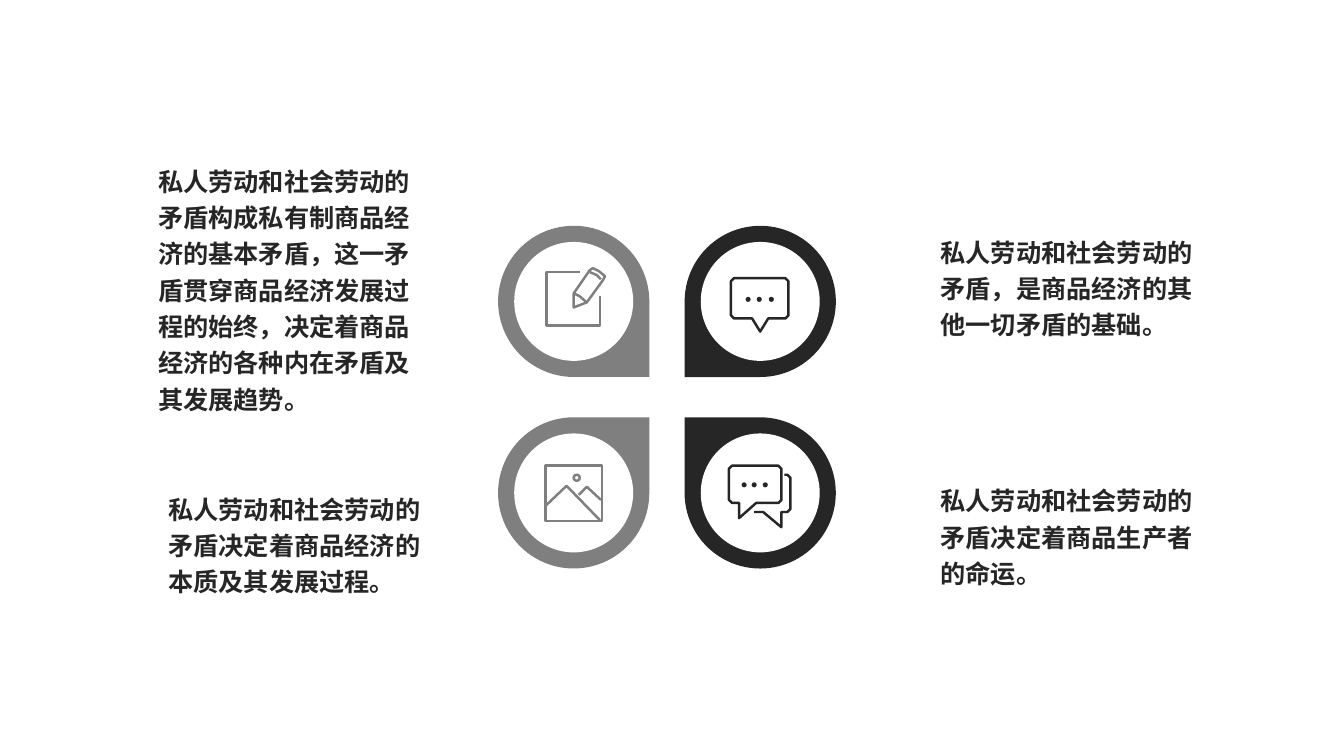
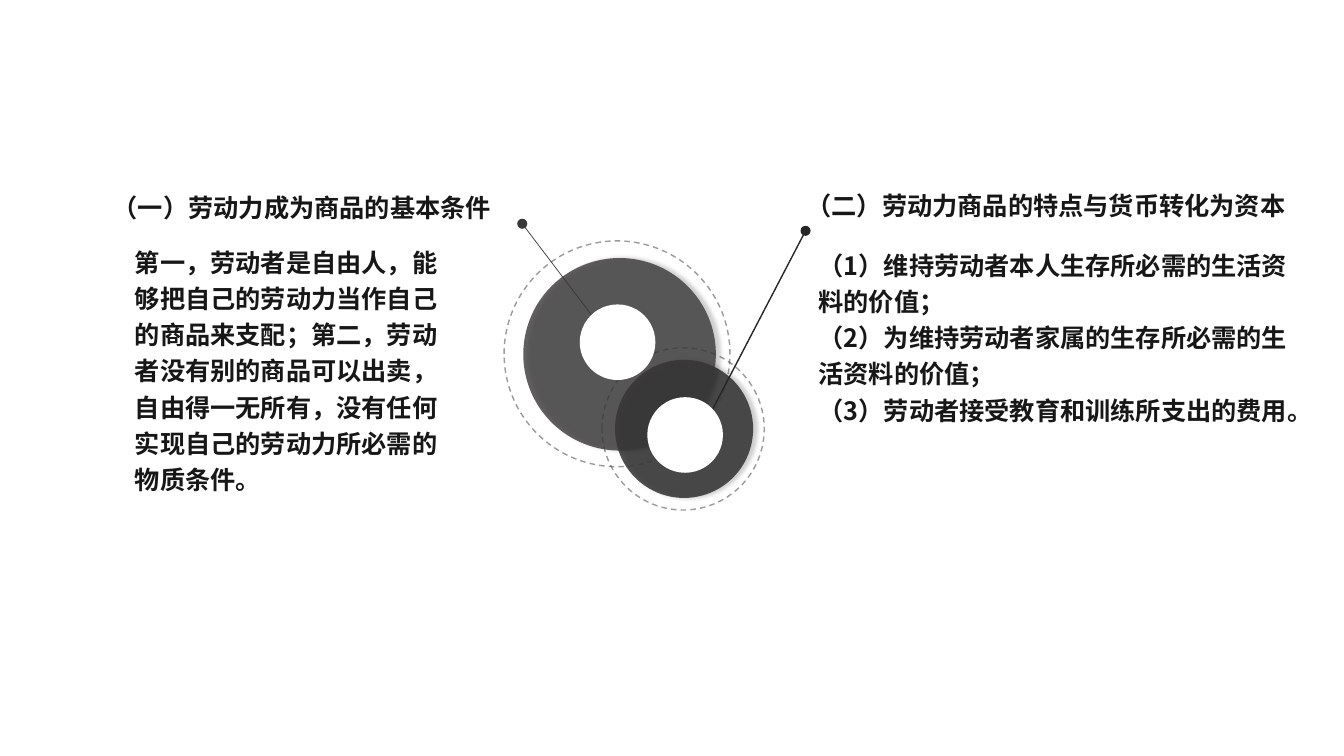
"""Build two slides on the contradictions of labour and labour power as a commodity."""
from dataclasses import dataclass

from lxml import etree
from pptx import Presentation
from pptx.dml.color import RGBColor
from pptx.enum.dml import MSO_LINE
from pptx.enum.shapes import MSO_CONNECTOR, MSO_SHAPE
from pptx.oxml.ns import qn
from pptx.util import Inches, Pt

OVAL = MSO_SHAPE.OVAL
TEAR = MSO_SHAPE.TEAR
STRAIGHT = MSO_CONNECTOR.STRAIGHT
DASH = MSO_LINE.DASH

WHITE = RGBColor(0xFF, 0xFF, 0xFF)
BLACK = RGBColor(0x00, 0x00, 0x00)
GRAY = RGBColor(0x7F, 0x7F, 0x7F)
DARK = RGBColor(0x26, 0x26, 0x26)
CHARCOAL = RGBColor(0x3A, 0x38, 0x38)
INK = RGBColor(0x18, 0x17, 0x17)

LATIN_FONT = "Arial"
CHINESE_FONT = "Noto Sans CJK SC"
TEXT_SIZE = Pt(18)
BODY_SPACING = 1.2
ICON_STROKE = 1.75
PETAL_SIZE = 1.5
PETAL_HOLE = 1.18
HUB_SIZE = 0.75
PIN_SIZE = 0.1

Point = tuple[float, float]


@dataclass(frozen=True)
class Stroke:
    """One outline of an icon."""
    points: list[Point]
    closed: bool = False


@dataclass(frozen=True)
class Icon:
    """A line icon with optional solid dots and rings."""
    strokes: list[Stroke]
    dots: tuple[Point, ...] = ()
    rings: tuple[Point, ...] = ()


@dataclass(frozen=True)
class Petal:
    """A teardrop with a white centre and an icon."""
    left: float
    top: float
    rotation: int
    color: RGBColor
    icon: Icon


@dataclass(frozen=True)
class TextBlock:
    """A bold text box."""
    left: float
    top: float
    width: float
    height: float
    paragraphs: tuple[str, ...]
    font: str
    color: RGBColor
    spacing: float = BODY_SPACING
    wrap: bool = True


@dataclass(frozen=True)
class Disc:
    """A translucent disc, its dashed orbit and its white hub."""
    left: float
    top: float
    size: float
    color: RGBColor
    orbit_left: float
    orbit_top: float
    orbit_size: float
    hub: Point


@dataclass(frozen=True)
class Leader:
    """A line from a disc to a round pin."""
    start: Point
    pin: Point
    color: RGBColor
    weight: float


def bubble(left: float, top: float, right: float, bottom: float, tail: list[Point]) -> Stroke:
    """Return a speech bubble with cut corners and a tail on its lower edge."""
    cut = 0.03
    return Stroke([(left + cut, top), (right - cut, top), (right, top + cut),
                   (right, bottom - cut), (right - cut, bottom), *tail,
                   (left + cut, bottom), (left, bottom - cut), (left, top + cut)], True)


NOTE_ICON = Icon([
    Stroke([(5.75, 2.7), (5.42, 2.7), (5.42, 3.23), (5.95, 3.23), (5.95, 2.94)]),
    Stroke([(5.69, 2.91), (5.85, 2.68), (5.88, 2.66), (5.94, 2.69), (6, 2.74),
            (5.98, 2.78), (5.82, 3), (5.69, 3.05)], True),
    Stroke([(5.69, 2.91), (5.75, 2.94), (5.82, 3)]),
    Stroke([(5.85, 2.7), (5.92, 2.73), (5.96, 2.77)]),
])
MESSAGE_ICON = Icon(
    [bubble(7.25, 2.76, 7.82, 3.16, [(7.62, 3.16), (7.54, 3.29), (7.46, 3.16)])],
    dots=((7.42, 2.97), (7.53, 2.97), (7.65, 2.97)))
PICTURE_ICON = Icon([
    Stroke([(5.41, 4.62), (5.97, 4.62), (5.97, 5.17), (5.41, 5.17)], True),
    Stroke([(5.42, 5.01), (5.62, 4.82), (5.95, 5.16)]),
    Stroke([(5.74, 4.91), (5.82, 4.83), (5.96, 4.96)]),
], rings=((5.72, 4.74),))
CHAT_ICON = Icon([
    bubble(7.23, 4.62, 7.75, 4.99, [(7.5, 4.99), (7.33, 5.14), (7.33, 4.99)]),
    Stroke([(7.78, 4.71), (7.81, 4.71), (7.84, 4.74), (7.84, 5.05), (7.81, 5.08),
            (7.75, 5.08), (7.75, 5.23), (7.57, 5.08), (7.48, 5.08)]),
], dots=((7.38, 4.81), (7.48, 4.81), (7.59, 4.81)))

PETALS = (
    Petal(4.94, 4.14, 0, GRAY, PICTURE_ICON),
    Petal(6.79, 4.14, 270, DARK, CHAT_ICON),
    Petal(4.94, 2.24, 90, GRAY, NOTE_ICON),
    Petal(6.79, 2.24, 180, DARK, MESSAGE_ICON),
)
PETAL_TEXTS = (
    (1.47, 1.54, "私人劳动和社会劳动的矛盾构成私有制商品经济的基本矛盾，这一矛盾贯穿商品经济"
                 "发展过程的始终，决定着商品经济的各种内在矛盾及其发展趋势。"),
    (1.57, 4.79, "私人劳动和社会劳动的矛盾决定着商品经济的本质及其发展过程。"),
    (9.23, 2.24, "私人劳动和社会劳动的矛盾，是商品经济的其他一切矛盾的基础。"),
    (9.23, 4.71, "私人劳动和社会劳动的矛盾决定着商品生产者的命运。"),
)

DISCS = (
    Disc(6.1, 3.57, 1.37, DARK, 5.97, 3.45, 1.61, (6.42, 3.94)),
    Disc(5.19, 2.56, 1.91, CHARCOAL, 5, 2.39, 2.24, (5.75, 3.02)),
)
LEADERS = (
    Leader((6, 3.3), (5.18, 2.22), CHARCOAL, 0.5),
    Leader((6.87, 4.44), (7.99, 2.29), DARK, 1),
)
LABOUR_TEXTS = (
    TextBlock(1.24, 2.34, 3.34, 2.18, (
        "第一，劳动者是自由人，能够把自己的劳动力当作自己的商品来支配；第二，劳动者没有"
        "别的商品可以出卖，自由得一无所有，没有任何实现自己的劳动力所必需的物质条件。",
    ), CHINESE_FONT, INK),
    TextBlock(1.02, 1.86, 3.95, 0.38, ("（一）劳动力成为商品的基本条件",),
              CHINESE_FONT, INK, 1.0, False),
    TextBlock(8.02, 2.37, 4.93, 3.78, (
        "（1）维持劳动者本人生存所必需的生活资料的价值；",
        "（2）为维持劳动者家属的生存所必需的生活资料的价值；",
        "（3）劳动者接受教育和训练所支出的费用。",
    ), CHINESE_FONT, INK),
    TextBlock(7.9, 1.84, 4.95, 0.38, ("（二）劳动力商品的特点与货币转化为资本",),
              CHINESE_FONT, INK, 1.0, False),
)


def add_solid(slide, kind, left: float, top: float, size: float, color: RGBColor):
    """Add a square-framed shape with a plain fill."""
    shape = slide.shapes.add_shape(kind, Inches(left), Inches(top), Inches(size), Inches(size))
    shape.shadow.inherit = False
    shape.fill.solid()
    shape.fill.fore_color.rgb = color
    shape.line.fill.background()
    return shape


def make_outline(shape, color: RGBColor, weight: float) -> None:
    """Leave a shape with only its line."""
    shape.shadow.inherit = False
    shape.fill.background()
    shape.line.color.rgb = color
    shape.line.width = Pt(weight)


def set_alpha(color_parent, percent: int) -> None:
    """Set the opacity of the RGB colour inside an element."""
    color = next(color_parent.iter(qn("a:srgbClr")))
    etree.SubElement(color, qn("a:alpha")).set("val", str(percent * 1000))


def add_soft_shadow(shape) -> None:
    """Cast a faint shadow to the right."""
    effects = shape.element.spPr.find(qn("a:effectLst"))
    shadow = etree.SubElement(effects, qn("a:outerShdw"), blurRad=str(Pt(3)),
                              dist=str(Pt(3)), dir="0", algn="ctr", rotWithShape="0")
    etree.SubElement(shadow, qn("a:srgbClr"), val=str(BLACK))
    set_alpha(shadow, 23)


def add_text(slide, block: TextBlock) -> None:
    """Add a text box with one style throughout."""
    box = slide.shapes.add_textbox(Inches(block.left), Inches(block.top),
                                   Inches(block.width), Inches(block.height))
    frame = box.text_frame
    frame.word_wrap = block.wrap
    frame.text = "\n".join(block.paragraphs)
    for paragraph in frame.paragraphs:
        paragraph.line_spacing = block.spacing
        for run in paragraph.runs:
            run.font.size = TEXT_SIZE
            run.font.bold = True
            run.font.color.rgb = block.color
            run.font.name = block.font
            east_asian = etree.SubElement(run.font._element, qn("a:ea"))
            east_asian.set("typeface", CHINESE_FONT)


def add_icon(slide, icon: Icon, color: RGBColor) -> None:
    """Draw the strokes, dots and rings of an icon."""
    for stroke in icon.strokes:
        start, *rest = [(Inches(x), Inches(y)) for x, y in stroke.points]
        builder = slide.shapes.build_freeform(*start)
        builder.add_line_segments(rest, close=stroke.closed)
        make_outline(builder.convert_to_shape(), color, ICON_STROKE)
    for x, y in icon.dots:
        add_solid(slide, OVAL, x - 0.025, y - 0.025, 0.05, color)
    for x, y in icon.rings:
        make_outline(add_solid(slide, OVAL, x - 0.03, y - 0.03, 0.06, color), color, ICON_STROKE)


def add_petal(slide, petal: Petal) -> None:
    """Draw a teardrop marker."""
    add_solid(slide, TEAR, petal.left, petal.top, PETAL_SIZE, petal.color).rotation = petal.rotation
    margin = (PETAL_SIZE - PETAL_HOLE) / 2
    add_solid(slide, OVAL, petal.left + margin, petal.top + margin, PETAL_HOLE, WHITE)
    add_icon(slide, petal.icon, petal.color)


def add_disc(slide, disc: Disc) -> None:
    """Draw a translucent disc and its dashed orbit."""
    shape = add_solid(slide, OVAL, disc.left, disc.top, disc.size, disc.color)
    set_alpha(shape.element.spPr, 80)
    add_soft_shadow(shape)
    orbit = add_solid(slide, OVAL, disc.orbit_left, disc.orbit_top, disc.orbit_size, CHARCOAL)
    make_outline(orbit, CHARCOAL, 1)
    orbit.line.dash_style = DASH
    set_alpha(orbit.element.spPr, 50)


def add_leader(slide, leader: Leader) -> None:
    """Draw a leader line with its pin."""
    ends = [Inches(value) for value in (*leader.start, *leader.pin)]
    connector = slide.shapes.add_connector(STRAIGHT, *ends)
    connector.line.color.rgb = leader.color
    connector.line.width = Pt(leader.weight)
    etree.SubElement(connector.element.spPr, qn("a:effectLst"))
    x, y = leader.pin
    add_solid(slide, OVAL, x - PIN_SIZE / 2, y - PIN_SIZE / 2, PIN_SIZE, leader.color)


def build_contradictions(slide) -> None:
    """Fill the slide with four petals and their statements."""
    for petal in PETALS:
        add_petal(slide, petal)
    for left, top, text in PETAL_TEXTS:
        add_text(slide, TextBlock(left, top, 2.77, 0.61, (text,), LATIN_FONT, DARK))


def build_labour_power(slide) -> None:
    """Fill the slide with two linked discs and their explanations."""
    for disc in DISCS:
        add_disc(slide, disc)
    for leader in LEADERS:
        add_leader(slide, leader)
    for disc in DISCS:
        add_solid(slide, OVAL, *disc.hub, HUB_SIZE, WHITE)
    for block in LABOUR_TEXTS:
        add_text(slide, block)


def main() -> None:
    """Build and save the presentation."""
    presentation = Presentation()
    presentation.slide_width = Inches(13.33)
    presentation.slide_height = Inches(7.5)
    blank_layout = presentation.slide_layouts.get_by_name("Blank")
    for build in (build_contradictions, build_labour_power):
        build(presentation.slides.add_slide(blank_layout))
    presentation.save("out.pptx")


if __name__ == "__main__":
    main()
